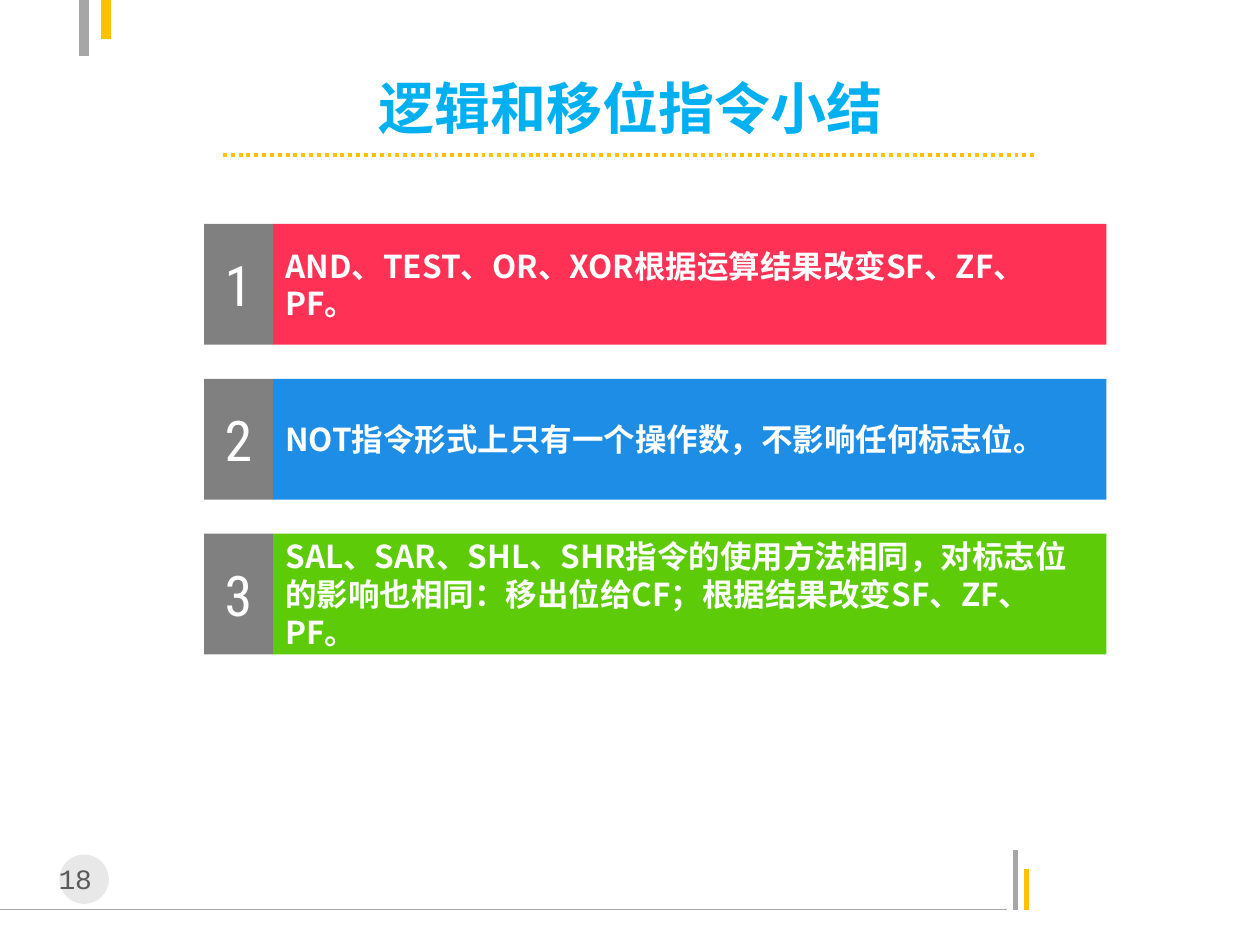
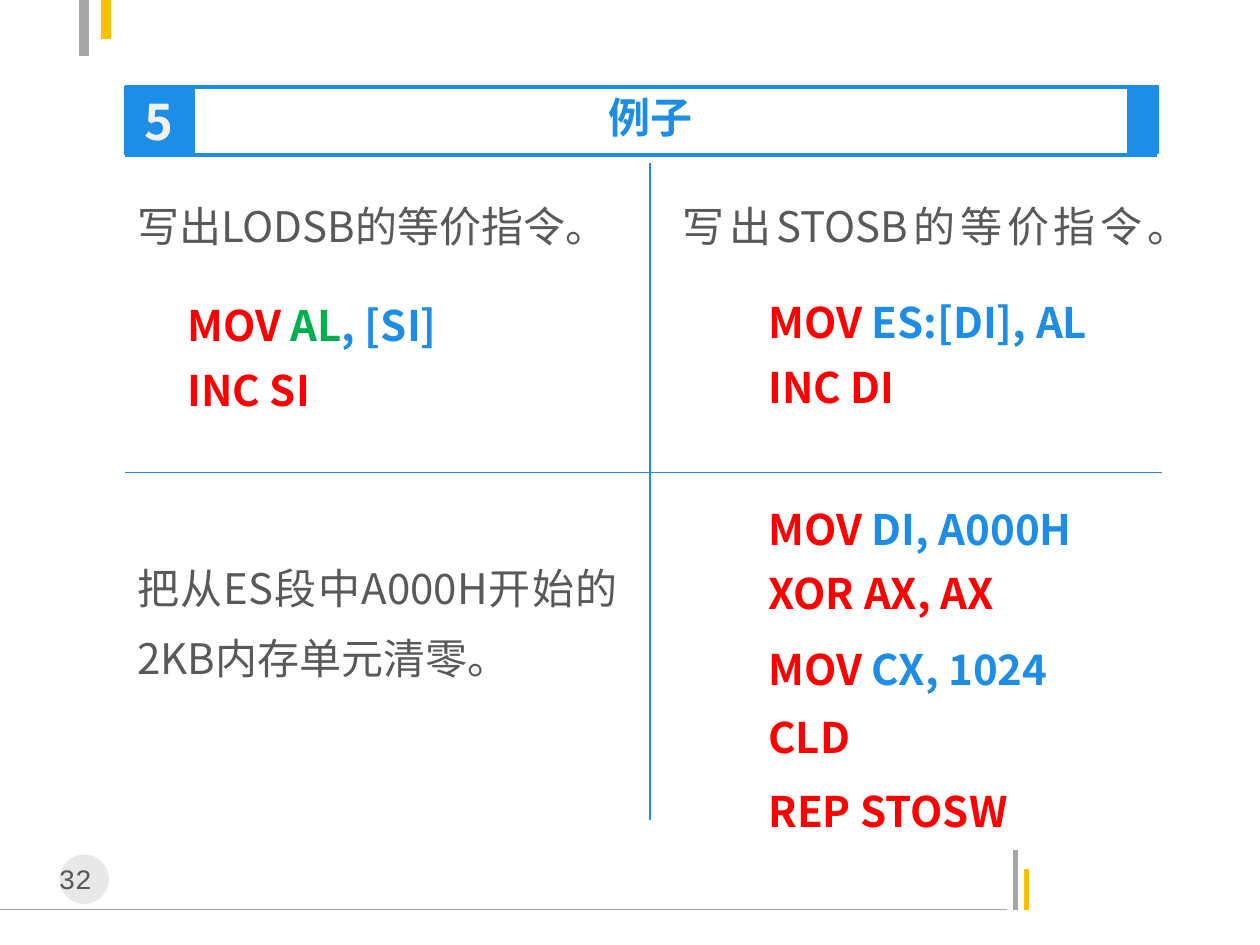
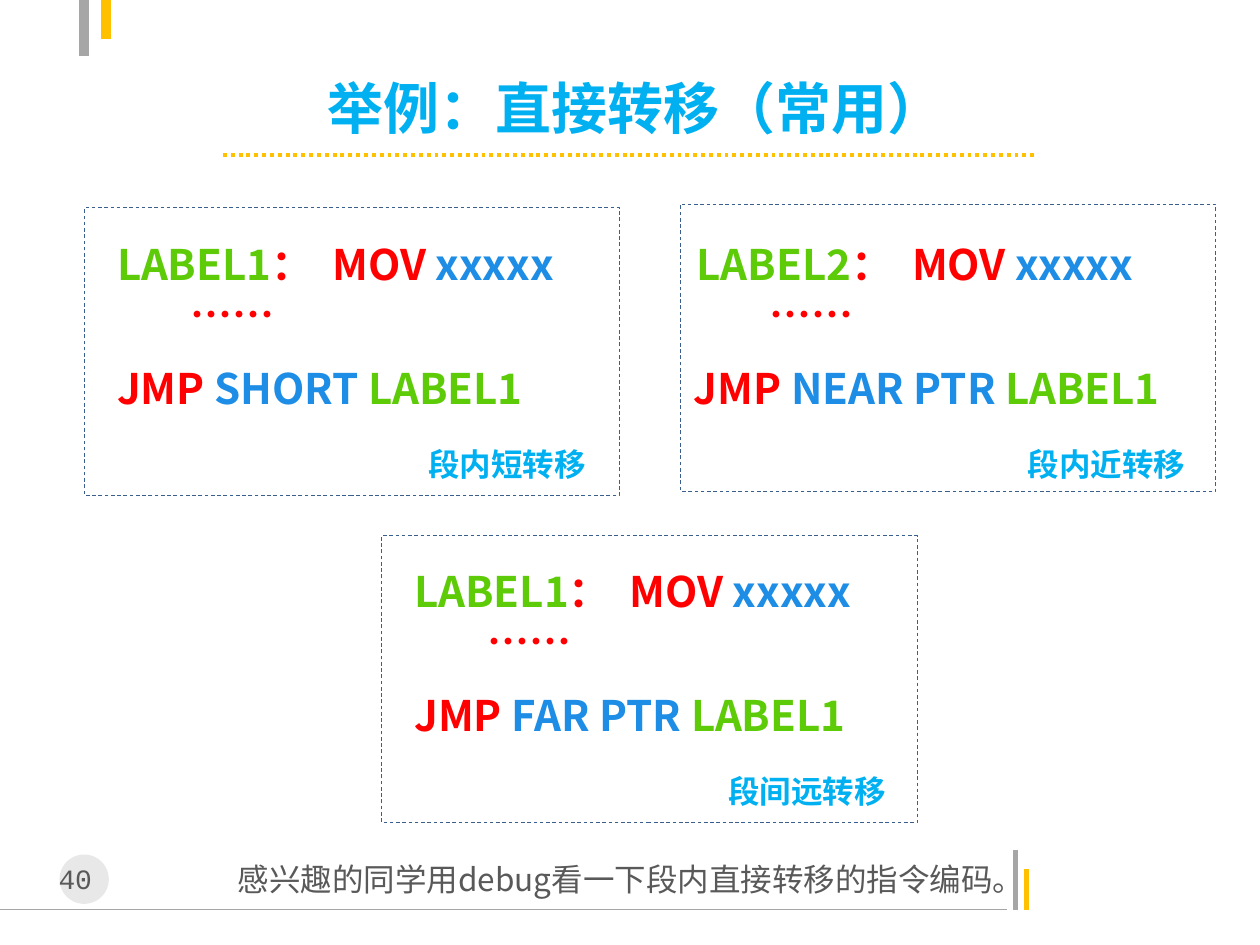
from lxml.etree import SubElement
from pptx import Presentation
from pptx.dml.color import RGBColor
from pptx.enum.dml import MSO_LINE
from pptx.enum.shapes import MSO_CONNECTOR, MSO_SHAPE
from pptx.enum.text import MSO_ANCHOR, MSO_AUTO_SIZE, PP_ALIGN
from pptx.oxml.ns import qn
from pptx.util import Pt

COLORS = {
    "white": "FFFFFF", "off_white": "F2F2F2", "ink": "595959",
    "gray": "808080", "rule": "A6A6A6", "disc": "BFBFBF",
    "gold": "FFC000", "title": "00B0F0", "blue": "1D8DE5",
    "green": "5DCB08", "register": "00B050", "crimson": "FF3255",
    "red": "FF0000", "frame": "3A5F8C",
}
RGB = {name: RGBColor.from_string(value) for name, value in COLORS.items()}
FONT = "Noto Sans CJK SC"
LEFT, CENTER, JUSTIFY = PP_ALIGN.LEFT, PP_ALIGN.CENTER, PP_ALIGN.JUSTIFY


def add_text(slide, text, left, top, width, height, color="ink", size=24, bold=False,
             font=FONT, align=LEFT, spacing=None, after=None, fill=None, border=None,
             middle=False, wrap=True, grow=True):
    """Place a string or (string, color) runs in a text box, or in a rectangle if filled."""
    place = Pt(left), Pt(top), Pt(width), Pt(height)
    if fill:
        box = slide.shapes.add_shape(MSO_SHAPE.RECTANGLE, *place)
        box.shadow.inherit = False
        box.fill.solid()
        box.fill.fore_color.rgb = RGB[fill]
        if border:
            box.line.color.rgb = RGB[border]
            box.line.width = Pt(0.75)
        else:
            box.line.fill.background()
    else:
        box = slide.shapes.add_textbox(*place)
    frame = box.text_frame
    frame.word_wrap = wrap
    frame.vertical_anchor = MSO_ANCHOR.MIDDLE if fill or middle else MSO_ANCHOR.TOP
    if grow and not fill:
        frame.auto_size = MSO_AUTO_SIZE.SHAPE_TO_FIT_TEXT
    paragraph = frame.paragraphs[0]
    paragraph.alignment = align
    if spacing:
        paragraph.line_spacing = spacing
    if after:
        paragraph.space_after = Pt(after)
    for words, run_color in [(text, color)] if isinstance(text, str) else text:
        run = paragraph.add_run()
        run.text = words
        run.font.size = Pt(size)
        run.font.bold = bold
        run.font.color.rgb = RGB[run_color]
        run.font.name = font
        SubElement(run.font._element, qn("a:ea"), typeface=font)


def add_line(slide, x1, y1, x2, y2, color, width, dash=None):
    line = slide.shapes.add_connector(
        MSO_CONNECTOR.STRAIGHT, Pt(x1), Pt(y1), Pt(x2), Pt(y2))
    line.line.color.rgb = RGB[color]
    line.line.width = Pt(width)
    if dash:
        line.line.dash_style = dash
    SubElement(line._element.spPr, qn("a:effectLst"))


deck = Presentation()
deck.slide_width, deck.slide_height = Pt(720), Pt(540)

# Shared decoration and page numbers
decoration = [
    (0, 519.8, 575.3, 519.8, "rule", 0.75),
    (580.3, 519.8, 580.3, 485.5, "rule", 3),
    (586.8, 519.8, 586.8, 496.8, "gold", 3),
    (48, 32, 48, -2, "rule", 6),
    (60.5, 0, 60.5, 22.5, "gold", 6),
]
pages = []
for number in (18, 32, 40):
    page = deck.slides.add_slide(deck.slide_layouts[6])
    for stroke in decoration:
        add_line(page, *stroke)
    disc = page.shapes.add_shape(MSO_SHAPE.OVAL, Pt(34), Pt(488.3), Pt(28.2), Pt(28.2))
    disc.shadow.inherit = False
    disc.fill.solid()
    disc.fill.fore_color.rgb = RGB["disc"]
    disc_color = disc._element.spPr.find(qn("a:solidFill"))[0]
    SubElement(disc_color, qn("a:alpha"), val="35000")
    disc.line.fill.background()
    add_text(page, f"{number} ", 22.3, 488.9, 51, 26.6, size=16, font="Courier New",
             align=CENTER)
    pages.append(page)
summary, examples, jumps = pages

# Titles over a dotted rule
for page, title, left in [(summary, "逻辑和移位指令小结", 99.4),
                          (jumps, "举例：直接转移（常用）", 102.2)]:
    add_text(page, title, left, 43.2, 522, 36, color="title", size=32, bold=True,
             align=CENTER, middle=True, wrap=False, grow=False)
    add_line(page, 127.4, 88.6, 592.6, 88.6, "gold", 2.25, MSO_LINE.ROUND_DOT)

# Summary: three numbered bars
points = [
    ("crimson", "AND、TEST、OR、XOR根据运算结果改变SF、ZF、PF。"),
    ("blue", "NOT指令形式上只有一个操作数，不影响任何标志位。"),
    ("green", "SAL、SAR、SHL、SHR指令的使用方法相同，对标志位的影响也相同："
              "移出位给CF；根据结果改变SF、ZF、PF。"),
]
for index, (bar_color, point) in enumerate(points):
    top = 128 + 88.5 * index
    add_text(summary, point, 156, top, 476.3, 69, color="white", size=18, bold=True,
             fill=bar_color)
    add_text(summary, str(index + 1), 116.7, top, 39.2, 69, color="white", size=32,
             font="Roboto Condensed", align=CENTER, fill="gray")

# Examples: heading band
add_text(examples, "5", 71.3, 49.6, 39.6, 38.9, color="off_white", size=28, bold=True,
         align=CENTER, fill="blue", border="blue")
add_text(examples, "例子", 111.6, 49, 520.6, 36, color="blue", bold=True, align=CENTER)
add_text(examples, "", 644.4, 49, 17.3, 38.9, fill="blue", border="blue")
for edge in (49.7, 88.6):
    add_line(examples, 71.3, edge, 661, edge, "blue", 2.25)

# Examples: quadrant dividers
add_line(examples, 371.5, 92.9, 371.5, 468.7, "blue", 1)
add_line(examples, 71.3, 270, 663.8, 270, "blue", 1)

# Examples: questions
for question, left, top, width, height in [
    ("写出LODSB的等价指令。", 71.3, 100, 288.7, 47.5),
    ("写出STOSB的等价指令。", 383, 100, 280, 47.5),
    ("把从ES段中A000H开始的2KB内存单元清零。", 71.3, 306.7, 288.7, 87.8),
]:
    add_text(examples, question, left, top, width, height, align=JUSTIFY,
             spacing=1.39, after=6)

# Examples: answers
code = {"bold": True, "spacing": 1.29}
mov = ("MOV", "red")
for left, top, instruction in [
    (100, 159, [mov, (" ", "red"), ("AL", "register"), (", [SI]", "blue")]),
    (100, 196.6, [("INC SI", "red")]),
    (432, 157.6, [mov, (" ES:[DI], AL", "blue")]),
    (432, 194.4, [("INC DI", "red")]),
    (432, 275.8, [mov, (" DI, A000H", "blue")]),
    (432, 312.5, [("XOR AX, AX", "red")]),
    (432, 355.7, [mov, (" CX, 1024", "blue")]),
    (432, 394.6, [("CLD", "red")]),
    (432, 437, [("REP STOSW", "red")]),
]:
    add_text(examples, instruction, left, top, 243, 44.6, **code)

# Jumps: a framed listing for each distance
for frame_at, left, top, jump_left, caption_left, label, distance, caption in [
    ((48.2, 118.8), 59.8, 124.6, 59.8, 237.6, "LABEL1", "SHORT ", "段内短转移"),
    ((388.8, 116.6), 391, 124.6, 389.5, 580.3, "LABEL2", "NEAR PTR ", "段内近转移"),
    ((218.2, 306), 229.7, 311.4, 229.7, 409, "LABEL1", "FAR PTR ", "段间远转移"),
]:
    add_text(jumps, [(label, "green"), ("：", "red")], left, top, 196, 44.6, **code)
    add_text(jumps, [("MOV ", "red"), ("xxxxx", "blue")], left + 123.1, top, 160, 44.6,
             **code)
    add_text(jumps, "……", left + 41.8, top + 28.2, 75.6, 44.6, color="red", **code)
    add_text(jumps, [("JMP ", "red"), (distance, "blue"), ("LABEL1", "green")],
             jump_left, top + 70.8, 296, 44.6, **code)
    add_text(jumps, caption, caption_left, top + 126, 105, 28.8, color="title", size=18,
             bold=True, wrap=False)
    outline = jumps.shapes.add_shape(
        MSO_SHAPE.RECTANGLE, Pt(frame_at[0]), Pt(frame_at[1]), Pt(306), Pt(164.2))
    outline.shadow.inherit = False
    outline.fill.background()
    outline.line.color.rgb = RGB["frame"]
    outline.line.width = Pt(0.5)
    outline.line.dash_style = MSO_LINE.DASH

# Jumps: closing remark
add_text(jumps, "感兴趣的同学用debug看一下段内直接转移的指令编码。",
         128.9, 483.8, 461.5, 33.1, size=18, spacing=1.2)

deck.save("out.pptx")
